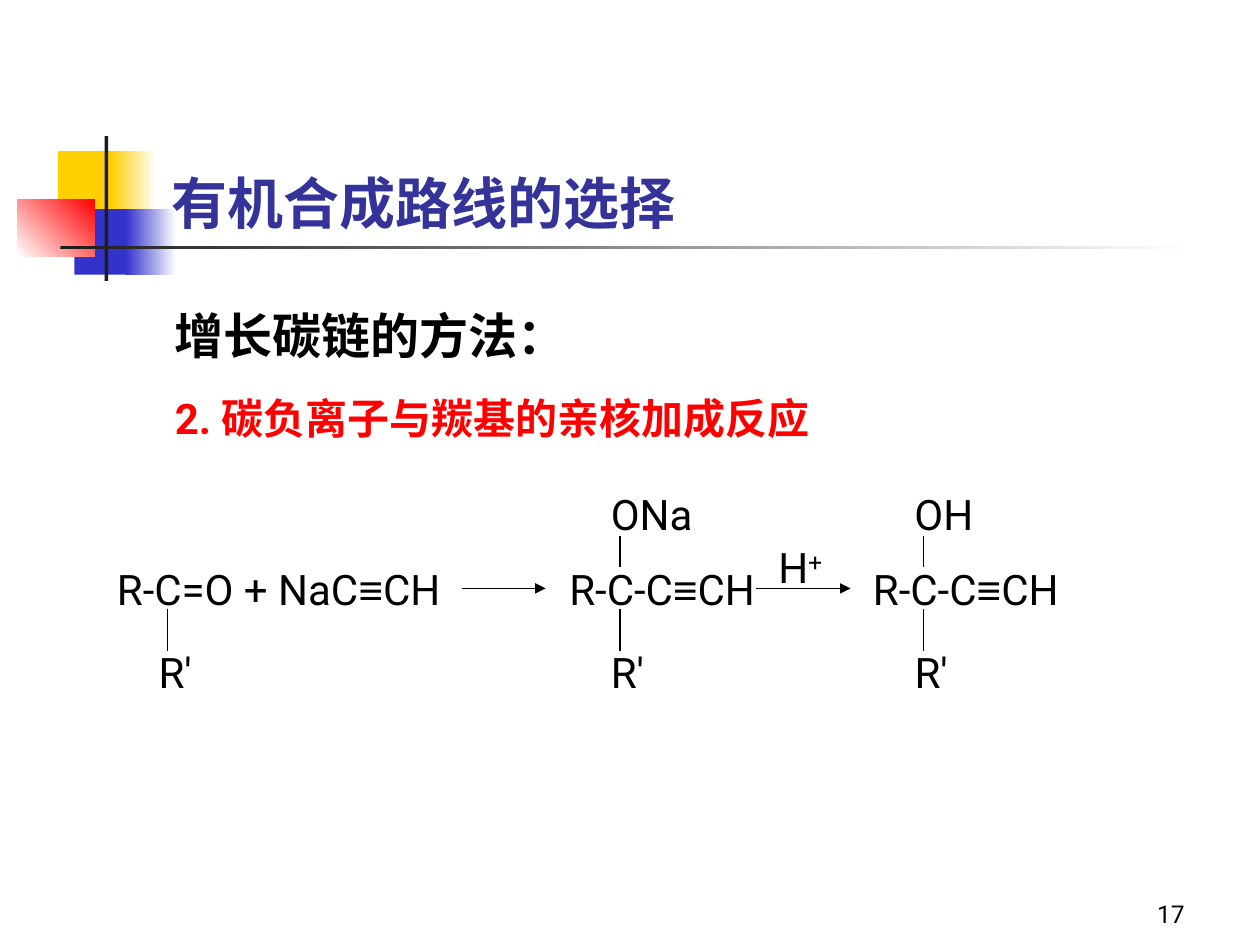
from pptx import Presentation
from pptx.dml.color import RGBColor
from pptx.enum.shapes import MSO_CONNECTOR, MSO_SHAPE
from pptx.enum.text import MSO_ANCHOR, PP_ALIGN
from pptx.oxml.ns import qn
from pptx.util import Inches, Pt
from lxml import etree

RECTANGLE = MSO_SHAPE.RECTANGLE
STRAIGHT = MSO_CONNECTOR.STRAIGHT
TOP, BOTTOM = MSO_ANCHOR.TOP, MSO_ANCHOR.BOTTOM
LEFT, RIGHT = PP_ALIGN.LEFT, PP_ALIGN.RIGHT

THEME = {
    "font": "Roboto", "symbol_font": "Arial",
    "yellow": "FFCF01", "blue": "3333CC", "red": "FF0000", "dark": "1C1C1C",
    "white": "FFFFFF", "black": "000000", "title": "333399",
    "title_size": 32, "heading_size": 28, "formula_size": 24, "number_size": 14,
    "line_width": 0.75,
}

# Content
TITLE = "有机合成路线的选择"
BODY = [
    # text, size, colour, space before
    ("增长碳链的方法：", "heading_size", "black", 0),
    ("2. 碳负离子与羰基的亲核加成反应", "formula_size", "red", 6),
]
PAGE_NUMBER = "17"
MOLECULES = [
    # bond x, formula, formula width, group above, group below
    (1.33, "R-C=O + NaC≡CH", 3, None, "R'"),
    (4.92, "R-C-C≡CH", 1.75, "ONa", "R'"),
    (7.33, "R-C-C≡CH", 1.75, "OH", "R'"),
]
REACTION_ARROWS = [(3.67, 4.33), (6, 6.75)]
CATALYST = ("H", "+")

# Decoration: left, top, width, height, colours from start to end, angle
DECORATION = [
    (0.46, 1.2, 0.48, 0.52, ["yellow"], 0),
    (0.88, 1.2, 0.36, 0.52, ["yellow", "white"], 0),
    (0.59, 1.66, 0.46, 0.52, ["blue"], 0),
    (1, 1.66, 0.4, 0.52, ["blue", "white"], 0),
    (0.14, 1.58, 0.61, 0.46, ["white", "red"], 45),
    (0.83, 1.08, 0.03, 1.15, ["dark"], 0),
    (0.48, 1.95, 9, 0.03, ["dark", "white"], 0),
]

# Rows of the reaction scheme
GROUP_TOP, FORMULA_TOP, SUBSTITUENT_TOP = 3.83, 4.42, 5.08
UPPER_BOND, LOWER_BOND = (4.25, 4.5), (4.83, 5.17)
ARROW_Y = 4.67
LABEL_HEIGHT = 0.5


def color(name):
    return RGBColor.from_string(THEME[name])


def add_block(slide, left, top, width, height, colors, angle):
    shape = slide.shapes.add_shape(
        RECTANGLE, Inches(left), Inches(top), Inches(width), Inches(height))
    shape.shadow.inherit = False
    shape.line.fill.background()
    if len(colors) == 1:
        shape.fill.solid()
        shape.fill.fore_color.rgb = color(colors[0])
        return
    shape.fill.gradient()
    shape.fill.gradient_angle = angle
    for stop, name in zip(shape.fill.gradient_stops, colors):
        stop.color.rgb = color(name)


def add_box(slide, left, top, width, height, anchor=TOP):
    box = slide.shapes.add_textbox(
        Inches(left), Inches(top), Inches(width), Inches(height))
    frame = box.text_frame
    frame.word_wrap = True
    frame.vertical_anchor = anchor
    return frame


def add_run(paragraph, text, size, color_name="black", bold=False, font="font"):
    run = paragraph.add_run()
    run.text = text
    formats = {"name": THEME[font], "size": Pt(THEME[size]), "bold": bold}
    for attribute, value in formats.items():
        setattr(run.font, attribute, value)
    run.font.color.rgb = color(color_name)
    return run


def add_formula(slide, text, left, top, width):
    paragraph = add_box(slide, left, top, width, LABEL_HEIGHT).paragraphs[0]
    before, bond, after = text.partition("≡")
    for part, font in ((before, "font"), (bond, "symbol_font"), (after, "font")):
        if part:
            add_run(paragraph, part, "formula_size", font=font)


def add_line(slide, start, end, arrow=False):
    connector = slide.shapes.add_connector(
        STRAIGHT, *(Inches(value) for value in (*start, *end)))
    connector.line.color.rgb = color("black")
    connector.line.width = Pt(THEME["line_width"])
    if arrow:
        line = connector.line._get_or_add_ln()
        etree.SubElement(line, qn("a:tailEnd"), type="triangle")
    etree.SubElement(connector._element.spPr, qn("a:effectLst"))


def add_molecule(slide, bond_x, formula, width, above, below):
    add_formula(slide, formula, bond_x - 0.5, FORMULA_TOP, width)
    rows = [(below, SUBSTITUENT_TOP, LOWER_BOND, 0.58), (above, GROUP_TOP, UPPER_BOND, 1)]
    for group, top, (bond_start, bond_end), group_width in rows:
        if group:
            add_line(slide, (bond_x, bond_start), (bond_x, bond_end))
            add_formula(slide, group, bond_x - 0.17, top, group_width)


def main():
    presentation = Presentation()
    presentation.slide_width, presentation.slide_height = Inches(10), Inches(7.5)
    slide = presentation.slides.add_slide(presentation.slide_layouts[6])

    # Coloured squares and rules
    for block in DECORATION:
        add_block(slide, *block)

    # Page number and title
    paragraph = add_box(slide, 7.42, 6.92, 2.08, 0.5, BOTTOM).paragraphs[0]
    paragraph.alignment = RIGHT
    add_run(paragraph, PAGE_NUMBER, "number_size")
    paragraph = add_box(slide, 1.26, 0.67, 8.52, 1.25, BOTTOM).paragraphs[0]
    add_run(paragraph, TITLE, "title_size", "title", bold=True)

    # Headings
    frame = add_box(slide, 1.29, 2.21, 8.5, 1.38)
    for index, (text, size, color_name, space) in enumerate(BODY):
        paragraph = frame.add_paragraph() if index else frame.paragraphs[0]
        formats = {"alignment": LEFT, "line_spacing": 1.35, "space_before": Pt(space)}
        for attribute, value in formats.items():
            setattr(paragraph, attribute, value)
        properties = paragraph._p.get_or_add_pPr()
        properties.set("marL", str(Inches(0.38)))
        properties.set("indent", str(Inches(-0.38)))
        add_run(paragraph, text, size, color_name, bold=True)

    # Reaction scheme
    for molecule in MOLECULES:
        add_molecule(slide, *molecule)
    for start_x, end_x in REACTION_ARROWS:
        add_line(slide, (start_x, ARROW_Y), (end_x, ARROW_Y), arrow=True)

    # Catalyst above the second arrow
    paragraph = add_box(slide, 6.08, 4.25, 0.75, LABEL_HEIGHT).paragraphs[0]
    element, charge = CATALYST
    add_run(paragraph, element, "formula_size")
    superscript = add_run(paragraph, charge, "formula_size")
    superscript._r.get_or_add_rPr().set("baseline", "30000")

    presentation.save("out.pptx")


if __name__ == "__main__":
    main()
